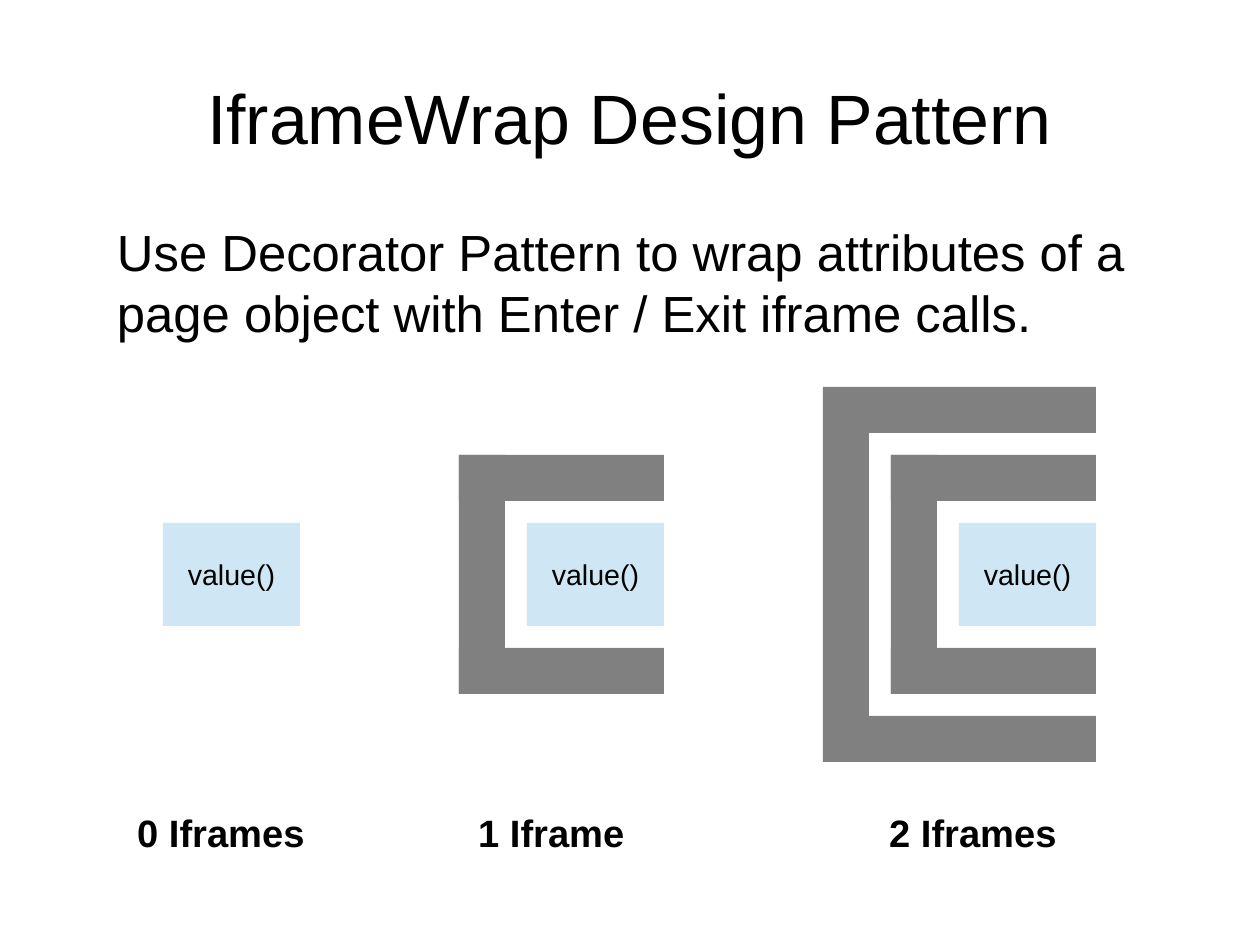
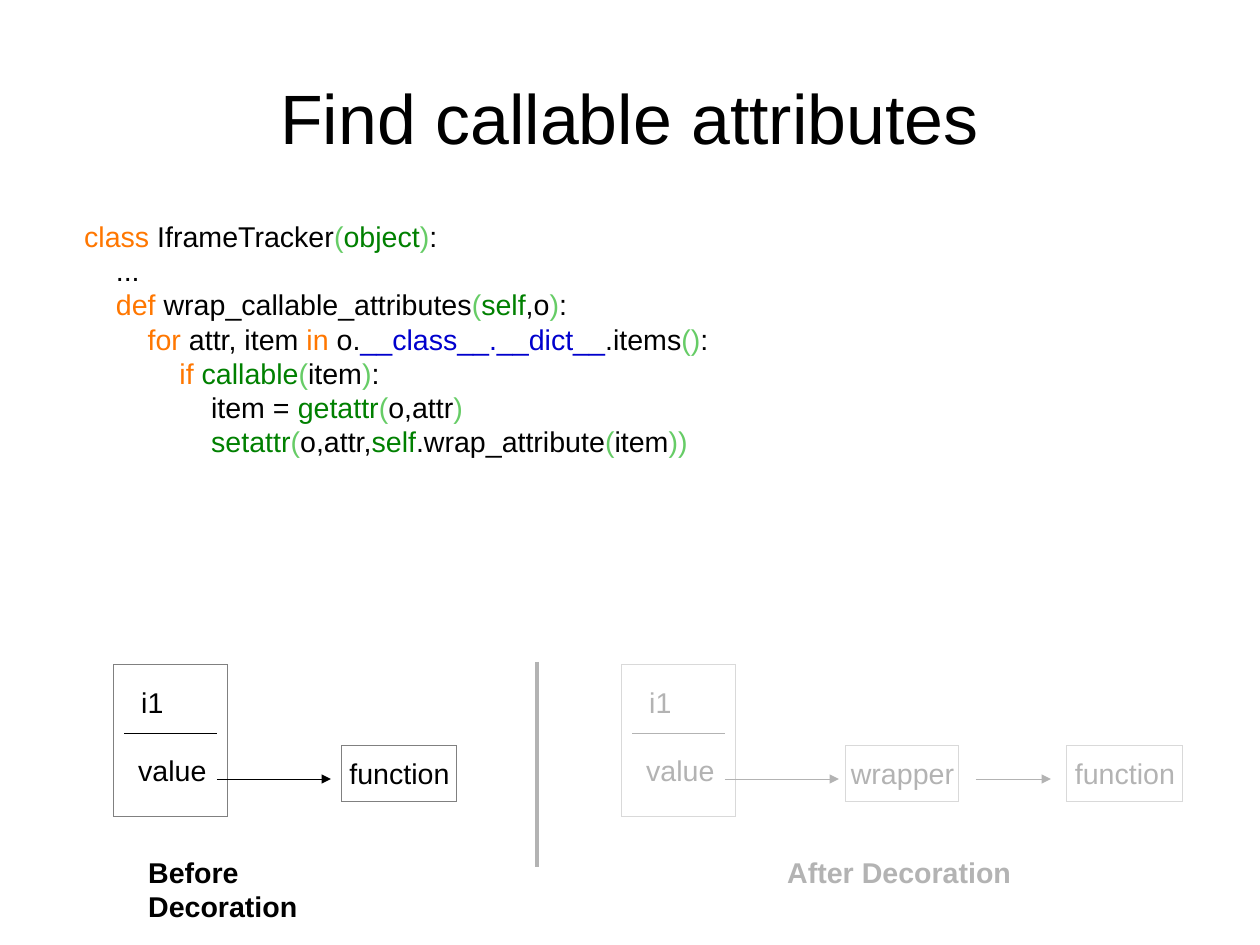
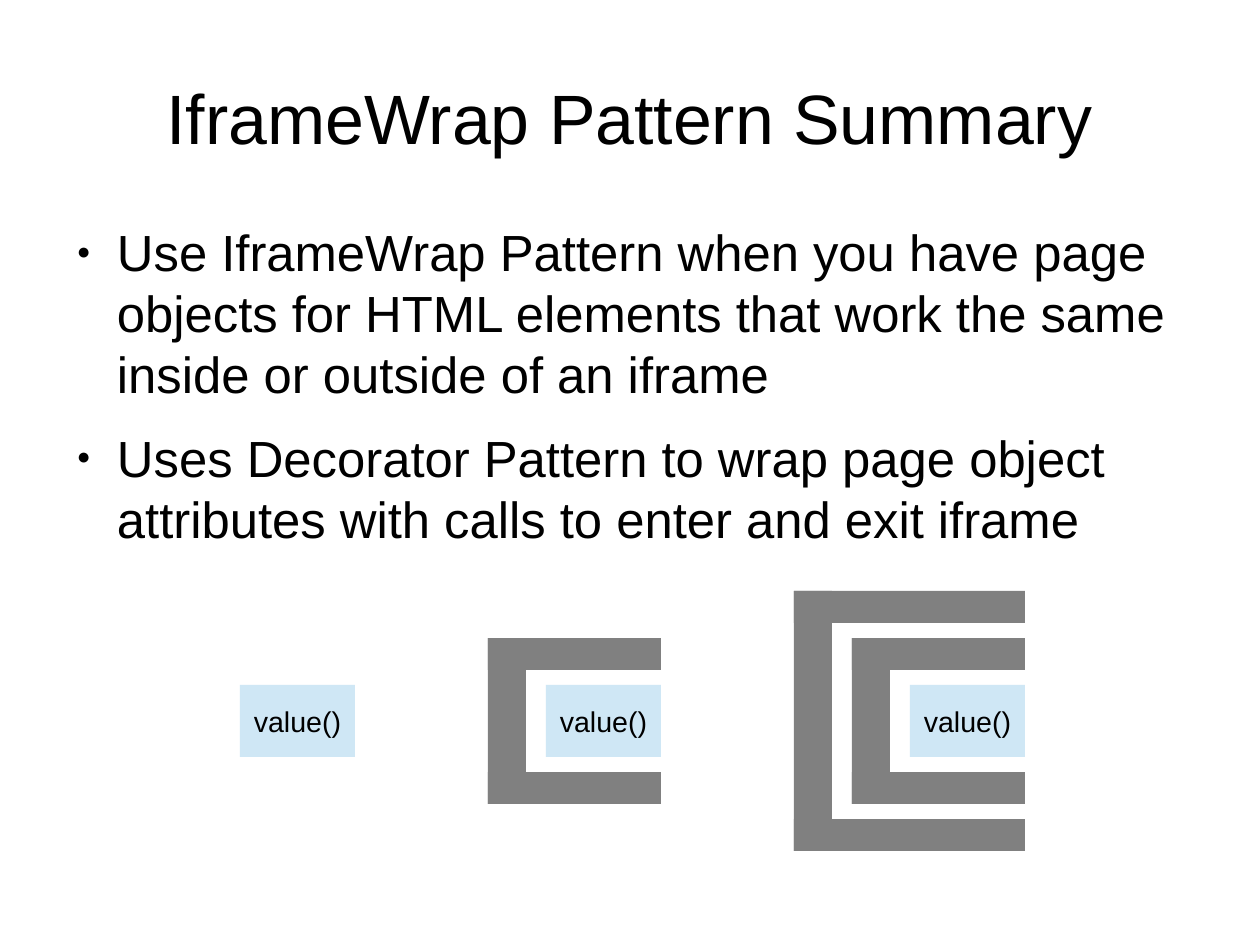
import pptx
import pptx.util
import pptx.dml.color
import pptx.enum.shapes
import pptx.enum.text
import pptx.oxml.ns
import lxml.etree

PX = 8000
SLIDE_WIDTH, SLIDE_HEIGHT = 1260, 945
FONT = "Arial"
COLORS = {
    "text": "000000",
    "paper": "FFFFFF",
    "frame": "808080",
    "value": "CFE7F5",
    "keyword": "FF7700",
    "builtin": "008000",
    "bracket": "66CC66",
    "dunder": "0000CD",
}
ALIGN = pptx.enum.text.PP_ALIGN
MIDDLE = pptx.enum.text.MSO_ANCHOR.MIDDLE
NO_MARGINS = dict.fromkeys(("margin_left", "margin_top", "margin_right", "margin_bottom"), 0)
TITLE_FRAME = {**NO_MARGINS, "word_wrap": True, "vertical_anchor": MIDDLE}
BODY_FRAME = {**NO_MARGINS, "word_wrap": True}
LABEL_FRAME = {"word_wrap": False, "auto_size": pptx.enum.text.MSO_AUTO_SIZE.SHAPE_TO_FIT_TEXT}
SHAPE_FRAME = {"word_wrap": False, "vertical_anchor": MIDDLE}
CENTERED = {"alignment": ALIGN.CENTER}
BODY_PARAGRAPH = {"space_after": pptx.util.Pt(14.1)}

CODE = [
    [("keyword", "class"), ("text", " IframeTracker"), ("bracket", "("), ("builtin", "object"),
     ("bracket", ")"), ("text", ":")],
    [("text", "    ...")],
    [("text", "    "), ("keyword", "def"), ("text", " wrap_callable_attributes"), ("bracket", "("),
     ("builtin", "self"), ("text", ",o"), ("bracket", ")"), ("text", ":")],
    [("text", "        "), ("keyword", "for"), ("text", " attr, item "), ("keyword", "in"),
     ("text", " o."), ("dunder", "__class__.__dict__"), ("text", ".items"), ("bracket", "()"),
     ("text", ":")],
    [("text", "            "), ("keyword", "if "), ("builtin", "callable"), ("bracket", "("),
     ("text", "item"), ("bracket", ")"), ("text", ":")],
    [("text", "                item = "), ("builtin", "getattr"), ("bracket", "("),
     ("text", "o,attr"), ("bracket", ")")],
    [("text", "                "), ("builtin", "setattr"), ("bracket", "("), ("text", "o,attr,"),
     ("builtin", "self"), ("text", ".wrap_attribute"), ("bracket", "("), ("text", "item"),
     ("bracket", "))")],
]


def emu(*lengths):
    return [pptx.util.Emu(length * PX) for length in lengths]


def rgb(name):
    return pptx.dml.color.RGBColor.from_string(COLORS[name])


def apply_format(target, values):
    for name, value in values.items():
        setattr(target, name, value)


def add_element(parent, tag, **attributes):
    return lxml.etree.SubElement(parent, pptx.oxml.ns.qn(tag), attributes)


def add_bullet(properties):
    color = add_element(properties, "a:buClr")
    add_element(color, "a:srgbClr", val=COLORS["text"])
    add_element(properties, "a:buSzPct", val="45000")
    add_element(properties, "a:buFont", typeface=FONT)
    add_element(properties, "a:buChar", char="●")


def write_text(shape, lines, size, frame, paragraph_format=None, bold=False, indent=None, bullet=False):
    text_frame = shape.text_frame
    apply_format(text_frame, frame)
    for index, line in enumerate(lines):
        paragraph = text_frame.add_paragraph() if index else text_frame.paragraphs[0]
        apply_format(paragraph, paragraph_format or {})
        if indent:
            properties = paragraph._p.get_or_add_pPr()
            for name, length in zip(("marL", "indent"), emu(*indent)):
                properties.set(name, str(length))
            if bullet:
                add_bullet(properties)
        for color_name, text in [("text", line)] if isinstance(line, str) else line:
            run = paragraph.add_run()
            run.text = text
            apply_format(run.font, {"name": FONT, "size": pptx.util.Pt(size), "bold": bold})
            run.font.color.rgb = rgb(color_name)


def add_text(slide, box, lines, size, frame=LABEL_FRAME, **options):
    shape = slide.shapes.add_textbox(*emu(*box))
    write_text(shape, lines, size, frame, **options)


def set_line(shape, color, width=0):
    shape.line.color.rgb = rgb(color)
    line = shape._element.spPr.find(pptx.oxml.ns.qn("a:ln"))
    line.set("w", str(int(pptx.util.Pt(width))))
    return line


def add_rectangle(parent, box, fill, outline=None, text=None):
    shape = parent.shapes.add_shape(pptx.enum.shapes.MSO_SHAPE.RECTANGLE, *emu(*box))
    shape.shadow.inherit = False
    shape.fill.solid()
    shape.fill.fore_color.rgb = rgb(fill)
    if outline:
        set_line(shape, outline)
    else:
        shape.line.fill.background()
    if text:
        write_text(shape, [text], 18, SHAPE_FRAME, CENTERED)
    return shape


def add_line(slide, start, end, width=0, arrow=False):
    connector = slide.shapes.add_connector(pptx.enum.shapes.MSO_CONNECTOR.STRAIGHT, *emu(*start, *end))
    line = set_line(connector, "text", width)
    if arrow:
        add_element(line, "a:tailEnd", type="triangle")
    add_element(connector._element.spPr, "a:effectLst")


def add_wrapped_value(slide, box, depth, step, bar):
    left, top, width, height = box
    step_x, step_y = step
    bar_width, bar_height = bar
    group = slide.shapes.add_group_shape()
    add_rectangle(group, box, "value", text="value()")
    for level in range(1, depth + 1):
        frame_left, frame_top = left - level * step_x, top - level * step_y
        frame_width, frame_height = width + level * step_x, height + 2 * level * step_y
        bottom_bar = frame_top + frame_height - bar_height
        add_rectangle(group, (frame_left, frame_top, frame_width, bar_height), "frame")
        add_rectangle(group, (frame_left, bottom_bar, frame_width, bar_height), "frame")
        add_rectangle(group, (frame_left, frame_top, bar_width, frame_height), "frame")


def add_wrapping_row(slide, lefts, top, size, step, bar):
    for depth, left in enumerate(lefts):
        add_wrapped_value(slide, (left, top, *size), depth, step, bar)


def add_page_object(slide, left):
    add_rectangle(slide, (left, 665, 114, 152), "paper", "frame")
    add_text(slide, (left + 16, 679, 45, 43), ["i1"], 18)
    add_text(slide, (left + 13, 747, 91, 43), ["value"], 18)
    add_line(slide, (left + 11, 734), (left + 103, 734))
    add_line(slide, (left + 103, 779), (left + 217, 779), arrow=True)


def add_callable(slide, left, width, name):
    add_rectangle(slide, (left, 745, width, 57), "paper", "frame", name)


def add_veil(slide, box, opacity):
    veil = add_rectangle(slide, box, "paper")
    color = veil._element.spPr.find(pptx.oxml.ns.qn("a:solidFill"))[0]
    add_element(color, "a:alpha", val=str(opacity * 1000))


def add_slide(presentation, title):
    slide = presentation.slides.add_slide(presentation.slide_layouts[6])
    add_text(slide, (63, 38, 1134, 158), [title], 44, TITLE_FRAME, paragraph_format=CENTERED)
    return slide


def add_body(slide, lines, first_indent=0, bullet=False):
    add_text(slide, (63, 221, 1109, 549), lines, 32, BODY_FRAME, paragraph_format=BODY_PARAGRAPH,
             indent=(54, first_indent), bullet=bullet)


def build_design_slide(presentation):
    slide = add_slide(presentation, "IframeWrap Design Pattern")
    add_body(slide, ["Use Decorator Pattern to wrap attributes of a page object with Enter / Exit iframe calls."])
    add_wrapping_row(slide, (163, 527, 959), 523, (137, 103), (68, 68), (46, 46))
    for left, width, caption in ((126, 190, "0 Iframes"), (467, 169, "1 Iframe"), (878, 190, "2 Iframes")):
        add_text(slide, (left, 804, width, 54), [caption], 24, bold=True)


def build_code_slide(presentation):
    slide = add_slide(presentation, "Find callable attributes")
    add_text(slide, (73, 213, 647, 395), CODE, 18)
    for left in (114, 622):
        add_page_object(slide, left)
    for left, width, name in ((342, 115, "function"), (846, 113, "wrapper"), (1067, 116, "function")):
        add_callable(slide, left, width, name)
    add_line(slide, (976, 779), (1051, 779), arrow=True)
    for left, width, caption in ((137, 270, "Before Decoration"), (776, 247, "After Decoration")):
        add_text(slide, (left, 849, width, 43), [caption], 18, bold=True)
    add_line(slide, (537, 662), (537, 867), width=2.89)
    add_veil(slide, (514, 640, 697, 263), 70)


def build_summary_slide(presentation):
    slide = add_slide(presentation, "IframeWrap Pattern Summary")
    add_body(slide, [
        "Use IframeWrap Pattern when you have page objects for HTML elements that work the same "
        "inside or outside of an iframe",
        "Uses Decorator Pattern to wrap page object attributes with calls to enter and exit iframe",
    ], first_indent=-40, bullet=True)
    add_wrapping_row(slide, (240, 546, 910), 685, (115, 72), (58, 47), (38, 32))


def main():
    presentation = pptx.Presentation()
    presentation.slide_width, presentation.slide_height = emu(SLIDE_WIDTH, SLIDE_HEIGHT)
    build_design_slide(presentation)
    build_code_slide(presentation)
    build_summary_slide(presentation)
    presentation.save("out.pptx")


if __name__ == "__main__":
    main()
